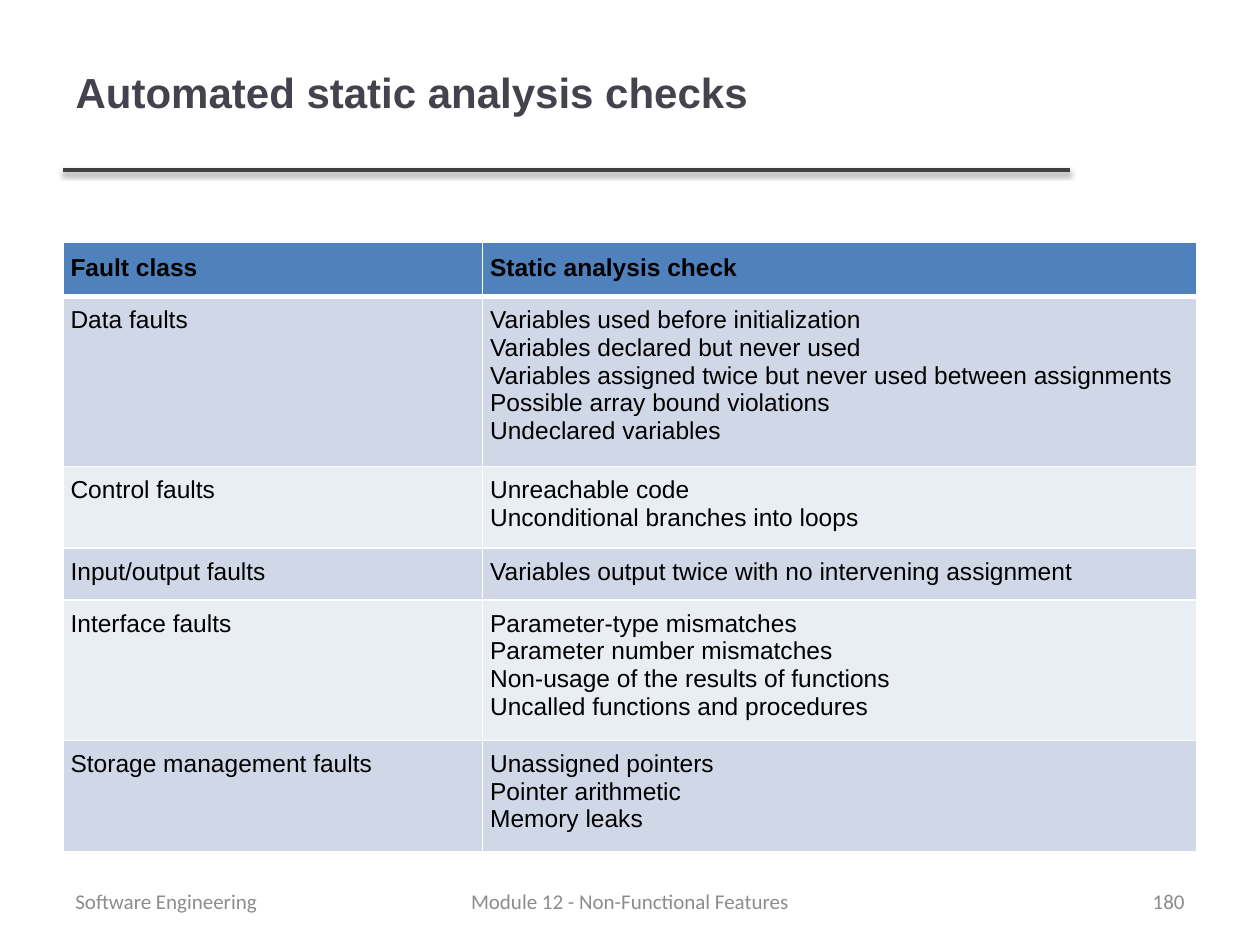
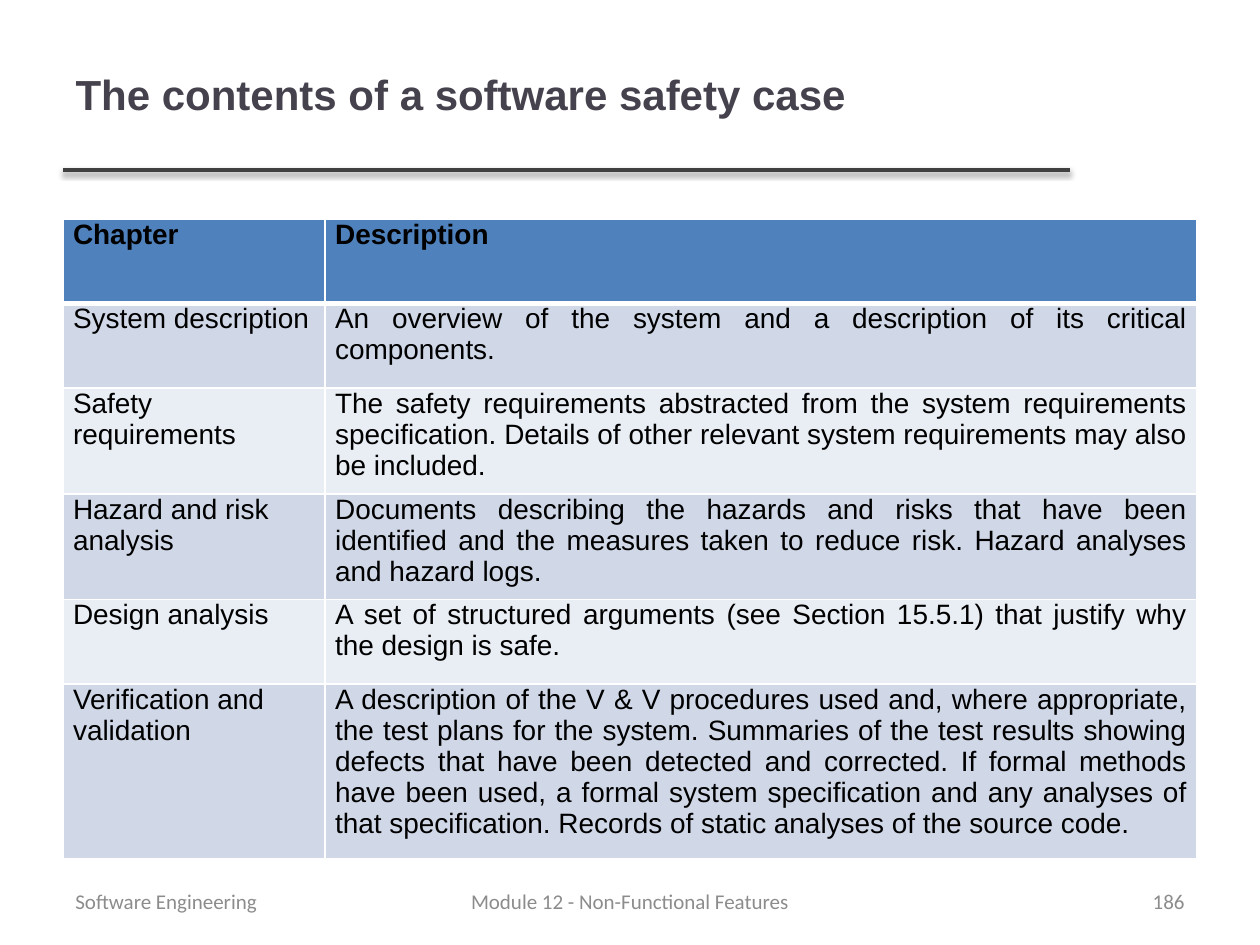
import pptx
import pptx.util
import pptx.dml.color
import pptx.enum.shapes
import pptx.enum.text
import pptx.oxml
import pptx.oxml.ns

Inches = pptx.util.Inches
Pt = pptx.util.Pt
ALIGN = pptx.enum.text.PP_ALIGN
MIDDLE = pptx.enum.text.MSO_ANCHOR.MIDDLE
HUES = {
    "title": "46424D", "rule": "404040", "foot": "8C8C8C", "text": "000000",
    "head": "4F81BD", "odd": "D0D8E8", "even": "E9EDF4", "edge": "FFFFFF",
    "shade": "000000",
}
LEFT, WIDE = 0.5, 9

FAULTS = [
    ("Fault class", "Static analysis check"),
    ("Data faults",
     "Variables used before initialization\n"
     "Variables declared but never used\n"
     "Variables assigned twice but never used between assignments\n"
     "Possible array bound violations\n"
     "Undeclared variables"),
    ("Control faults",
     "Unreachable code\nUnconditional branches into loops"),
    ("Input/output faults",
     "Variables output twice with no intervening assignment"),
    ("Interface faults",
     "Parameter-type mismatches\nParameter number mismatches\n"
     "Non-usage of the results of functions\n"
     "Uncalled functions and procedures"),
    ("Storage management faults",
     "Unassigned pointers\nPointer arithmetic\nMemory leaks"),
]
SAFETY = [
    ("Chapter", "Description"),
    ("System description",
     "An overview of the system and a description of its critical "
     "components."),
    ("Safety requirements",
     "The safety requirements abstracted from the system requirements "
     "specification. Details of other relevant system requirements may "
     "also be included."),
    ("Hazard and risk analysis",
     "Documents describing the hazards and risks that have been identified "
     "and the measures taken to reduce risk. Hazard analyses and hazard "
     "logs."),
    ("Design analysis",
     "A set of structured arguments (see Section 15.5.1) that justify why "
     "the design is safe."),
    ("Verification and validation",
     "A description of the V & V procedures used and, where appropriate, "
     "the test plans for the system. Summaries of the test results showing "
     "defects that have been detected and corrected. If formal methods have "
     "been used, a formal system specification and any analyses of that "
     "specification. Records of static analyses of the source code."),
]


def tint(hue):
    """Return the named colour."""
    return pptx.dml.color.RGBColor.from_string(HUES[hue])


def style(frame, font, size, hue, bold=False, align=ALIGN.LEFT):
    """Format every paragraph and run of a text frame."""
    for para in frame.paragraphs:
        para.alignment = align
        for run in para.runs:
            run.font.name = font
            run.font.size = Pt(size)
            run.font.bold = bold
            run.font.color.rgb = tint(hue)


def add_xml(parent, body):
    """Append a DrawingML element to a parent element."""
    tag, rest = body.split(" ", 1)
    space = pptx.oxml.ns.nsdecls("a")
    parent.append(pptx.oxml.parse_xml(f"<a:{tag} {space} {rest}"))


def add_title(slide, text, box):
    """Place the title in its box."""
    title = slide.shapes.title
    title.left, title.top, title.width, title.height = map(Inches, box)
    frame = title.text_frame
    frame.text = text
    frame.vertical_anchor = MIDDLE
    style(frame, "Arial", 24, "title", True)


def add_rule(slide, left, top, width):
    """Draw the shadowed rule below the title."""
    rule = slide.shapes.add_connector(
        pptx.enum.shapes.MSO_CONNECTOR.STRAIGHT, Inches(left), Inches(top),
        Inches(left + width), Inches(top))
    rule.line.color.rgb = tint("rule")
    rule.line.width = Pt(2)
    add_xml(rule._element.spPr, (
        f'effectLst ><a:outerShdw blurRad="{Pt(3.1)}" dist="{Pt(1.6)}" '
        f'dir="5400000" rotWithShape="0"><a:srgbClr val="{HUES["shade"]}">'
        '<a:alpha val="38000"/></a:srgbClr></a:outerShdw></a:effectLst>'))


def add_foot(slide, number, left, top, width):
    """Place the number, module and course along the bottom."""
    side, mid, high = 2.33, 3.17, 0.4
    parts = [
        (number, left + width - side, side, ALIGN.RIGHT),
        ("Module 12 - Non-Functional Features",
         left + (width - mid) / 2, mid, ALIGN.CENTER),
        ("Software Engineering", left, side, ALIGN.LEFT),
    ]
    for text, start, span, align in parts:
        frame = slide.shapes.add_textbox(
            Inches(start), Inches(top), Inches(span),
            Inches(high)).text_frame
        frame.word_wrap = True
        frame.vertical_anchor = MIDDLE
        frame.text = text
        style(frame, "Calibri", 12, "foot", align=align)


def fill_cell(cell, text, size, pads, hue, bold, align):
    """Write, pad, edge and fill one table cell."""
    cell.text_frame.text = text
    style(cell.text_frame, "Arial", size, "text", bold, align)
    (cell.margin_left, cell.margin_top,
     cell.margin_right, cell.margin_bottom) = map(Inches, pads)
    props = cell._tc.get_or_add_tcPr()
    for side in "LRTB":
        width = Pt(3 if bold and side == "B" else 1)
        add_xml(props, (
            f'ln{side} w="{width}"><a:solidFill><a:srgbClr '
            f'val="{HUES["edge"]}"/></a:solidFill></a:ln{side}>'))
    cell.fill.solid()
    cell.fill.fore_color.rgb = tint(hue)


def add_grid(slide, data, box, cols, rows, size, pads, first):
    """Place a banded two-column table in its box."""
    left, top, width, height = map(Inches, box)
    frame = slide.shapes.add_table(
        len(data), len(cols), left, top, width, height)
    grid = frame.table
    for col, span in zip(grid.columns, cols):
        col.width = Inches(span)
    for index, (row, high, texts) in enumerate(zip(grid.rows, rows, data)):
        row.height = Inches(high)
        head = index == 0
        hue = "head" if head else "odd" if index % 2 else "even"
        for spot, (cell, text) in enumerate(zip(row.cells, texts)):
            align = ALIGN.JUSTIFY if head or spot else first
            pad = pads[0 if head else 1]
            fill_cell(cell, text, size, pad, hue, head, align)
    frame.height = height


def add_page(deck, title, box, number):
    """Add a slide with the shared title, rule and footer."""
    slide = deck.slides.add_slide(deck.slide_layouts[5])
    add_rule(slide, LEFT, 1.35, 7.99)
    add_title(slide, title, box)
    add_foot(slide, number, LEFT, 6.95, WIDE)
    return slide


def main():
    """Build and save both slides."""
    deck = pptx.Presentation()
    deck.slide_width, deck.slide_height = Inches(10), Inches(7.5)
    page = add_page(deck, "Automated static analysis checks",
                    (LEFT, 0.1, 7.98, 1.25), "180")
    add_grid(page, FAULTS, (LEFT, 1.92, WIDE, 4.83), (3.33, 5.67),
             [0.41] * len(FAULTS), 14,
             [(0.06, 0.1, 0.06, 0.1), (0.06, 0.08, 0.06, 0.1)],
             ALIGN.JUSTIFY)
    page = add_page(deck, "The contents of a software safety case",
                    (LEFT, 0.12, WIDE, 1.25), "186")
    add_grid(page, SAFETY, (LEFT, 1.74, WIDE, 5.07), (2.08, 6.92),
             (0.67, 0.67, 0.73, 0.73, 0.67, 1.39), 16,
             [(0.08, 0, 0.08, 0.04)] * 2, ALIGN.LEFT)
    deck.save("out.pptx")


main()
